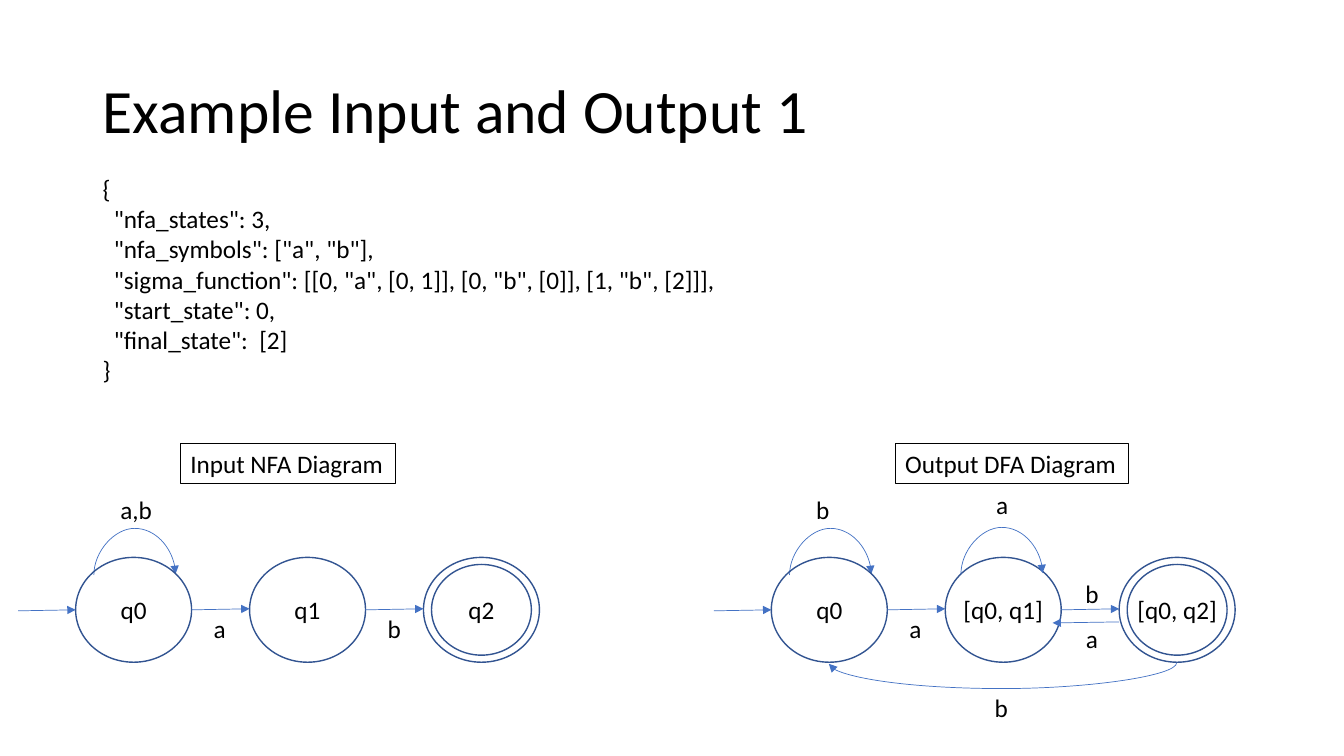
from pptx import Presentation
from pptx.dml.color import RGBColor
from pptx.enum.shapes import MSO_CONNECTOR, MSO_SHAPE
from pptx.enum.text import MSO_ANCHOR, PP_ALIGN
from pptx.oxml.ns import qn
from pptx.util import Inches, Pt
from lxml import etree

BLACK, NODE_LINE, ARROW_LINE = "000000", "325491", "4472C4"
NODE_WIDTH, NODE_HEIGHT, NODE_TOP = 1.15, 1.04, 5.53
NODE_PITCH = 1.725
ARROW_Y = 6.05
LABEL_HEIGHT = 0.4

CODE = [
    ("{", 0),
    ('"nfa_states": 3,', 1),
    ('"nfa_symbols": ["a", "b"],', 1),
    ('"sigma_function": [[0, "a", [0, 1]], [0, "b", [0]], [1, "b", [2]]],', 1),
    ('"start_state": 0,', 1),
    ('"final_state":  [2]', 1),
    ("}", 0),
]


def color(hex_string):
    return RGBColor.from_string(hex_string)


class SlideBuilder:
    def __init__(self, page):
        self.page = page
        self.font = "Calibri"

    def fill_para(self, para, text, size=18):
        para.text = text
        para.font.name = self.font
        para.font.size = Pt(size)
        para.font.color.rgb = color(BLACK)

    def text_box(self, left, top, width, height):
        box = self.page.shapes.add_textbox(
            Inches(left), Inches(top), Inches(width), Inches(height))
        box.text_frame.word_wrap = True
        return box.text_frame

    def title(self, text):
        frame = self.text_box(0.92, 0.4, 11.5, 1.45)
        frame.vertical_anchor = MSO_ANCHOR.MIDDLE
        self.fill_para(frame.paragraphs[0], text, 44)
        frame.paragraphs[0].line_spacing = 0.9

    def code(self, lines):
        frame = self.text_box(0.92, 1.67, 7.09, 2.27)
        for number, (text, level) in enumerate(lines):
            para = frame.add_paragraph() if number else frame.paragraphs[0]
            self.fill_para(para, text)
            properties = para._p.get_or_add_pPr()
            properties.set("marL", str(Inches(0.11 * level)))

    def label(self, text, center, top):
        """Place one centred line around the given x."""
        frame = self.text_box(center - 0.5, top, 1, LABEL_HEIGHT)
        frame.word_wrap = False
        self.fill_para(frame.paragraphs[0], text)
        frame.paragraphs[0].alignment = PP_ALIGN.CENTER

    def outline(self, kind, left, top, width, height, line_color, weight):
        shape = self.page.shapes.add_shape(
            kind, Inches(left), Inches(top), Inches(width), Inches(height))
        shape.shadow.inherit = False
        shape.fill.background()
        shape.line.color.rgb = color(line_color)
        shape.line.width = Pt(weight)
        return shape

    def caption(self, text, left, width):
        frame = self.outline(MSO_SHAPE.RECTANGLE, left, 4.4, width,
                             LABEL_HEIGHT, BLACK, 0.75).text_frame
        frame.word_wrap = False
        self.fill_para(frame.paragraphs[0], text)
        frame.paragraphs[0].alignment = PP_ALIGN.LEFT

    def state(self, name, left, final=False):
        insets = [(0, 0), (0.08, 0.07)] if final else [(0, 0)]
        for dx, dy in insets:
            self.outline(MSO_SHAPE.FLOWCHART_CONNECTOR, left + dx, NODE_TOP + dy,
                         NODE_WIDTH - 2 * dx, NODE_HEIGHT - 2 * dy, NODE_LINE, 1)
        self.label(name, left + NODE_WIDTH / 2, 5.85)

    def arrow(self, x1, y1, x2, y2, kind=MSO_CONNECTOR.STRAIGHT):
        connector = self.page.shapes.add_connector(
            kind, Inches(x1), Inches(y1), Inches(x2), Inches(y2))
        connector.line.color.rgb = color(ARROW_LINE)
        connector.line.width = Pt(0.5)
        line = connector.line._get_or_add_ln()
        etree.SubElement(line, qn("a:tailEnd"), type="triangle")
        etree.SubElement(connector._element.spPr, qn("a:effectLst"))
        return connector

    def arc(self, x1, x2, y, depth):
        """Bend an arrow from x1 to x2; a negative depth bends it upwards."""
        thin, span, center = 0.01, abs(x2 - x1), (x1 + x2) / 2
        left, top = center - thin / 2, y - span / 2
        connector = self.arrow(left, top, left + thin, top + span,
                               MSO_CONNECTOR.CURVE)
        properties = connector._element.spPr
        frame = properties.find(qn("a:xfrm"))
        frame.set("rot", "5400000")
        if depth < 0:
            frame.set("flipH", "1")
            frame.set("flipV", "1")
        guides = properties.find(qn("a:prstGeom")).get_or_add_avLst()
        bend = round(abs(depth) / thin * 100000)
        etree.SubElement(guides, qn("a:gd"), name="adj1", fmla=f"val {bend}")

    def automaton(self, left, names):
        """Draw three states in a row, the last one final, with their arrows."""
        self.arrow(left - 0.57, ARROW_Y + 0.01, left, ARROW_Y)
        self.arc(left + 0.18, left + 0.99, 5.7, -0.47)
        for index, name in enumerate(names):
            node_left = left + index * NODE_PITCH
            final = index == len(names) - 1
            self.state(name, node_left, final)
            if not final:
                self.arrow(node_left + NODE_WIDTH, ARROW_Y,
                           node_left + NODE_PITCH, ARROW_Y - 0.01)
        self.label("a", left + 1.43, 6.04)


def main():
    deck = Presentation()
    deck.slide_width, deck.slide_height = Inches(13.33), Inches(7.5)
    slide = SlideBuilder(deck.slides.add_slide(deck.slide_layouts[6]))
    slide.title("Example Input and Output 1")
    slide.code(CODE)

    slide.caption("Input NFA Diagram", 1.79, 2.13)
    slide.automaton(0.75, ["q0", "q1", "q2"])
    slide.label("a,b", 1.35, 4.86)
    slide.label("b", 3.91, 6.04)

    slide.caption("Output DFA Diagram", 8.88, 2.31)
    slide.automaton(7.65, ["q0", "[q0, q1]", "[q0, q2]"])
    slide.label("b", 8.16, 4.86)
    slide.arc(9.53, 10.34, 5.69, -0.47)
    slide.label("a", 9.94, 4.81)
    slide.label("b", 10.83, 5.69)
    slide.arrow(11.1, 6.17, 10.44, 6.18)
    slide.label("a", 10.83, 6.13)
    slide.arc(11.67, 8.22, 6.58, 0.26)
    slide.label("b", 9.93, 6.82)
    deck.save("out.pptx")


if __name__ == "__main__":
    main()
